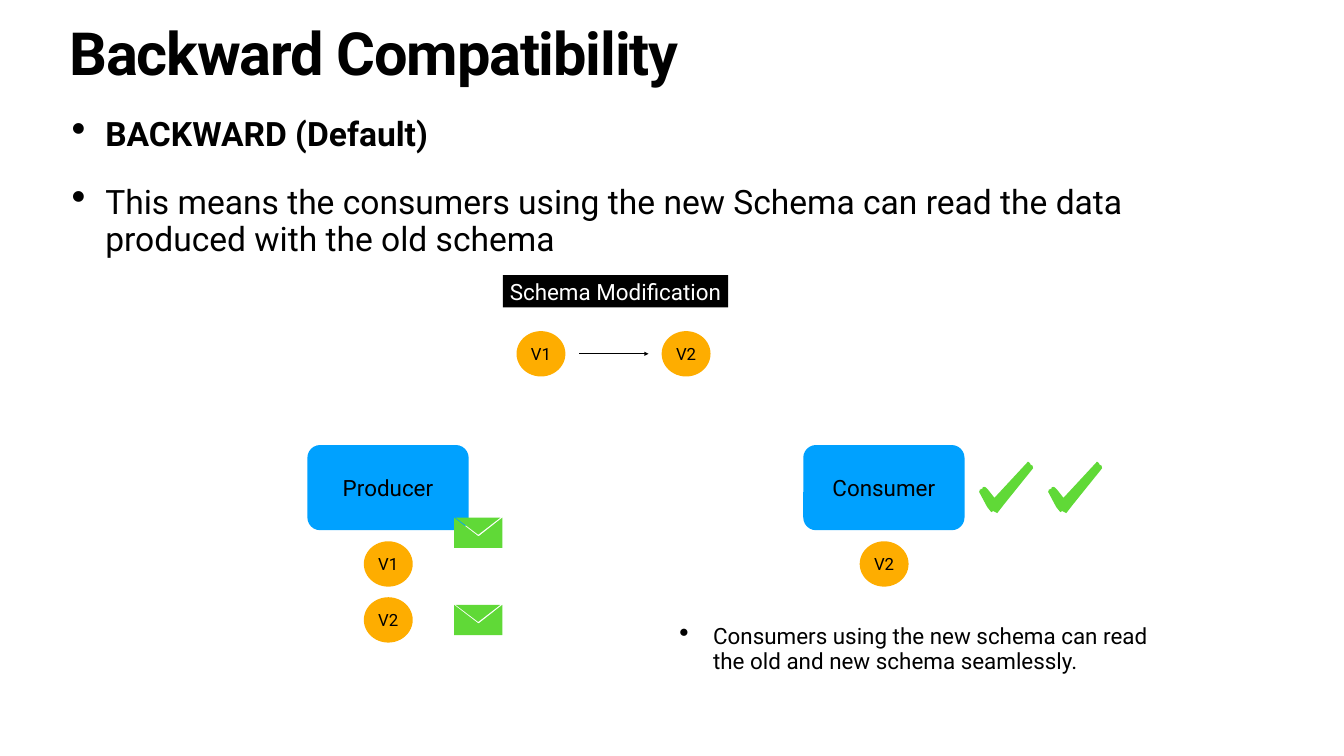
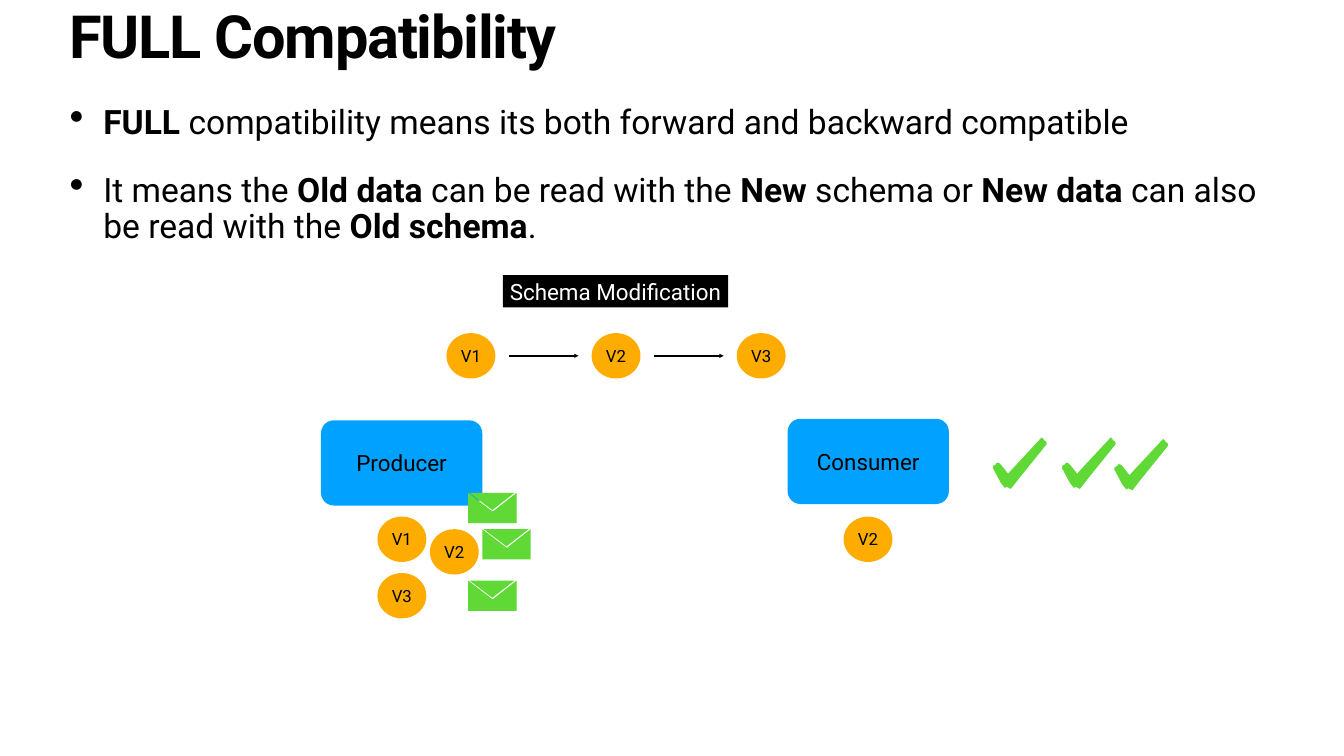
"""Build two slides on schema compatibility: backward and full."""
from lxml import etree
from pptx import Presentation
from pptx.dml.color import RGBColor
from pptx.enum.shapes import MSO_CONNECTOR, MSO_SHAPE
from pptx.enum.text import MSO_ANCHOR, PP_ALIGN
from pptx.oxml.ns import qn
from pptx.util import Inches, Pt

STRAIGHT = MSO_CONNECTOR.STRAIGHT
OVAL, RECTANGLE, ROUNDED = MSO_SHAPE.OVAL, MSO_SHAPE.RECTANGLE, MSO_SHAPE.ROUNDED_RECTANGLE
TOP, MIDDLE = MSO_ANCHOR.TOP, MSO_ANCHOR.MIDDLE
CENTER = PP_ALIGN.CENTER

BLACK = RGBColor(0x00, 0x00, 0x00)
WHITE = RGBColor(0xFF, 0xFF, 0xFF)
BLUE = RGBColor(0x00, 0xA1, 0xFF)
ORANGE = RGBColor(0xFE, 0xAD, 0x00)
GREEN = RGBColor(0x60, 0xD9, 0x37)

FONT = "Roboto"
INSET = Inches(0.06)
INDENT = Inches(0.67)
BADGE_WIDTH, BADGE_HEIGHT = 0.97, 0.9
VERSION_STEP = 2.88
ARROW_OFFSET, ARROW_LENGTH = 1.24, 1.38

ENVELOPE = [
    [(3, 0), (48, 34), (92, 0)],
    [(0, 0), (0, 60), (96, 60), (96, 0), (49, 37), (47, 36)],
]
CHECK = [[
    (97, 0), (32, 70), (31, 72), (29, 70), (18, 56), (13, 51), (10, 50),
    (7, 51), (7, 53), (1, 56), (1, 58), (0, 60), (16, 90), (24, 100), (28, 98),
    (36, 102), (50, 84), (104, 17), (107, 13), (106, 8), (104, 7), (101, 5), (101, 3),
]]

SLIDES = [
    {
        "title": ("Backward Compatibility", 0.53),
        "body_box": (1.36, 2.28, 23.94, 11.97),
        "body": [
            [("BACKWARD (Default)", True)],
            [("This means the consumers using the new Schema can read the data "
              "produced with the old schema", False)],
        ],
        "chain": (["V1", "V2"], 10.25, 6.57),
        "actors": [("Producer", 6.1, 8.83), ("Consumer", 15.94, 8.83)],
        "badges": [("V1", 7.22, 10.74), ("V2", 7.22, 11.85), ("V2", 17.06, 10.74)],
        "envelopes": [(9.01, 10.27), (9.01, 12)],
        "checks": [(19.43, 9.16), (20.8, 9.16)],
        "note": "Consumers using the new schema can read the old and new schema seamlessly.",
    },
    {
        "title": ("FULL Compatibility", 0.2),
        "body_box": (1.32, 2.04, 24.03, 11.63),
        "body": [
            [("FULL", True),
             (" compatibility means its both forward and backward compatible", False)],
            [("It means the ", False), ("Old data", True),
             (" can be read with the ", False), ("New", True), (" schema or ", False),
             ("New data", True), (" can also be read with the ", False),
             ("Old schema", True), (".", False)],
        ],
        "chain": (["V1", "V2", "V3"], 8.86, 6.61),
        "actors": [("Producer", 6.37, 8.34), ("Consumer", 15.63, 8.31)],
        "badges": [("V1", 7.49, 10.25), ("V3", 7.49, 11.37), ("V2", 8.53, 10.5),
                   ("V2", 16.74, 10.25)],
        "envelopes": [(9.29, 9.78), (9.29, 11.52), (9.57, 10.5)],
        "checks": [(19.7, 8.68), (21.07, 8.68), (22.11, 8.71)],
        "note": None,
    },
]


def prepare_frame(shape, anchor, wrap=True):
    """Set the insets, anchor and wrapping of a shape's text."""
    frame = shape.text_frame
    frame.word_wrap = wrap
    frame.vertical_anchor = anchor
    frame.margin_left = frame.margin_right = INSET
    frame.margin_top = frame.margin_bottom = INSET
    return frame


def add_run(paragraph, text, size, bold=False, color=BLACK):
    """Add one formatted run."""
    run = paragraph.add_run()
    run.text = text
    run.font.name = FONT
    run.font.size = Pt(size)
    run.font.bold = bold
    run.font.color.rgb = color
    return run


def add_text_box(slide, box):
    """Add a wrapping text box and return its text frame."""
    return prepare_frame(slide.shapes.add_textbox(*map(Inches, box)), TOP)


def add_title(slide, text, top):
    """Add the slide title."""
    paragraph = add_text_box(slide, (1.32, top, 24.03, 1.57)).paragraphs[0]
    paragraph.line_spacing = 0.8
    run = add_run(paragraph, text, 85, bold=True)
    run._r.get_or_add_rPr().set("spc", "-170")


def add_bullets(slide, box, items, size):
    """Add a bulleted list whose items are lists of (text, bold) runs."""
    frame = add_text_box(slide, box)
    for index, runs in enumerate(items):
        paragraph = frame.add_paragraph() if index else frame.paragraphs[0]
        properties = paragraph._p.get_or_add_pPr()
        properties.set("marL", str(INDENT))
        properties.set("indent", str(-INDENT))
        etree.SubElement(properties, qn("a:buSzPct")).set("val", "123000")
        etree.SubElement(properties, qn("a:buChar")).set("char", "•")
        paragraph.line_spacing = 0.9
        if index:
            paragraph.space_before = Pt(45)
        for text, bold in runs:
            add_run(paragraph, text, size, bold)


def paint(shape, color):
    """Give a shape a plain fill without line or shadow."""
    shape.shadow.inherit = False
    shape.fill.solid()
    shape.fill.fore_color.rgb = color
    shape.line.fill.background()


def add_label(slide, kind, box, fill, text, size, color=BLACK, wrap=True):
    """Add a filled shape with centred text."""
    shape = slide.shapes.add_shape(kind, *map(Inches, box))
    paint(shape, fill)
    paragraph = prepare_frame(shape, MIDDLE, wrap).paragraphs[0]
    paragraph.alignment = CENTER
    add_run(paragraph, text, size, color=color)
    return shape


def add_badge(slide, version, left, top):
    """Add a version circle."""
    add_label(slide, OVAL, (left, top, BADGE_WIDTH, BADGE_HEIGHT), ORANGE, version, 24)


def add_actor(slide, name, left, top):
    """Add a producer or consumer box."""
    shape = add_label(slide, ROUNDED, (left, top, 3.2, 1.69), BLUE, name, 32)
    shape.adjustments[0] = 0.15


def add_icon(slide, outlines, left, top):
    """Add a green icon from outlines in hundredths of an inch."""
    builder = slide.shapes.build_freeform(*outlines[0][0], scale=Inches(0.01))
    for index, points in enumerate(outlines):
        if index:
            builder.move_to(*points[0])
        builder.add_line_segments(points[1:], close=True)
    paint(builder.convert_to_shape(Inches(left), Inches(top)), GREEN)


def add_arrow(slide, left, right, y):
    """Add a horizontal arrow."""
    arrow = slide.shapes.add_connector(STRAIGHT, *map(Inches, (left, y, right, y)))
    arrow.line.color.rgb = BLACK
    arrow.line.width = Pt(2)
    etree.SubElement(arrow.line._get_or_add_ln(), qn("a:tailEnd")).set("type", "triangle")
    etree.SubElement(arrow._element.spPr, qn("a:effectLst"))


def add_chain(slide, versions, left, top):
    """Add the row of schema versions joined by arrows."""
    for index, version in enumerate(versions):
        x = left + index * VERSION_STEP
        add_badge(slide, version, x, top)
        if index < len(versions) - 1:
            start = x + ARROW_OFFSET
            add_arrow(slide, start, start + ARROW_LENGTH, top + BADGE_HEIGHT / 2)


def build_slide(presentation, content):
    """Build one compatibility slide."""
    slide = presentation.slides.add_slide(presentation.slide_layouts[6])
    add_title(slide, *content["title"])
    add_bullets(slide, content["body_box"], content["body"], 48)
    add_label(slide, RECTANGLE, (9.98, 5.46, 4.47, 0.64), BLACK,
              "Schema Modification", 32, WHITE, wrap=False)
    add_chain(slide, *content["chain"])
    for actor in content["actors"]:
        add_actor(slide, *actor)
    for badge in content["badges"]:
        add_badge(slide, *badge)
    for position in content["envelopes"]:
        add_icon(slide, ENVELOPE, *position)
    for position in content["checks"]:
        add_icon(slide, CHECK, *position)
    if content["note"]:
        add_bullets(slide, (13.42, 12.35, 10.15, 1.28), [[(content["note"], False)]], 32)


def main():
    """Build and save the presentation."""
    presentation = Presentation()
    presentation.slide_width = Inches(26.67)
    presentation.slide_height = Inches(15)
    for content in SLIDES:
        build_slide(presentation, content)
    presentation.save("out.pptx")


if __name__ == "__main__":
    main()
